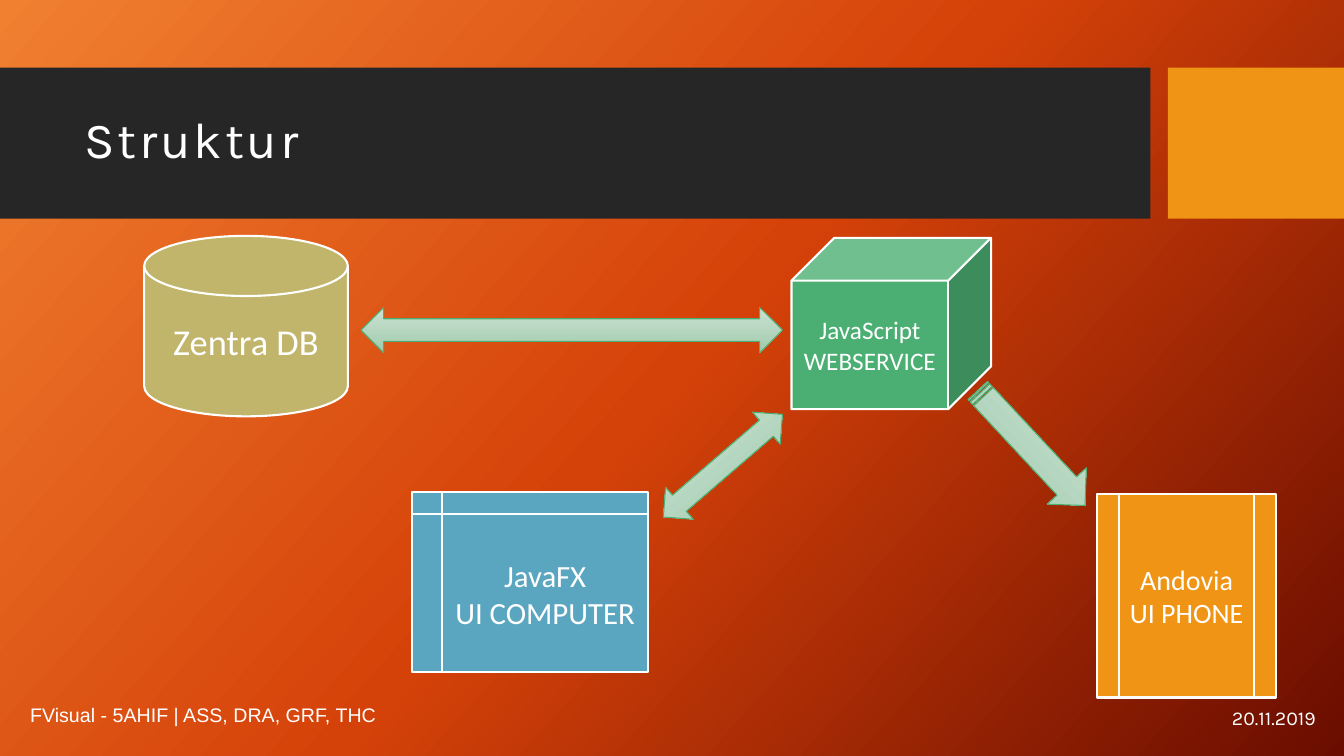
from copy import deepcopy
from dataclasses import dataclass

from pptx import Presentation
from pptx.dml.color import RGBColor
from pptx.enum.shapes import MSO_SHAPE
from pptx.enum.text import MSO_ANCHOR, PP_ALIGN
from pptx.oxml.ns import qn
from pptx.util import Inches, Pt

RECTANGLE = MSO_SHAPE.RECTANGLE
DISK = MSO_SHAPE.FLOWCHART_MAGNETIC_DISK
CUBE = MSO_SHAPE.CUBE
STORAGE = MSO_SHAPE.FLOWCHART_INTERNAL_STORAGE
PROCESS = MSO_SHAPE.FLOWCHART_PREDEFINED_PROCESS
TWO_WAY = MSO_SHAPE.LEFT_RIGHT_ARROW
ONE_WAY = MSO_SHAPE.STRIPED_RIGHT_ARROW
MIDDLE = MSO_ANCHOR.MIDDLE
LEFT, CENTER, RIGHT = PP_ALIGN.LEFT, PP_ALIGN.CENTER, PP_ALIGN.RIGHT
WIDTH, HEIGHT = 13.33, 7.5
TITLE_ONLY = 5


@dataclass(frozen=True)
class Theme:
    background: tuple = ((0, "F18031"), (0.5, "D54209"), (1, "6A0D00"))
    background_angle: int = 42
    arrow: tuple = ((0, "CBE2D2"), (1, "A0CBAD"))
    arrow_angle: int = 90
    white: str = "FFFFFF"
    band: str = "262626"
    orange: str = "F09415"
    sand: str = "C1B56B"
    green: str = "4BAF73"
    blue: str = "5AA6C0"
    heading_font: str = "Karla"
    node_font: str = "Calibri"
    footer_font: str = "Arial"
    title_size: int = 36
    footer_size: int = 14
    node_line: float = 1.5
    arrow_line: float = 0.75


THEME = Theme()


def color(value):
    return RGBColor.from_string(value)


def apply_format(target, values):
    for name, value in values.items():
        setattr(target, name, value)


def place(shape, box):
    names = ("left", "top", "width", "height")
    apply_format(shape, dict(zip(names, map(Inches, box))))


def set_gradient(fill, owner, stops, angle):
    fill.gradient()
    fill.gradient_angle = 360 - angle
    stop_list = owner.find(".//" + qn("a:gsLst"))
    for _ in stops[2:]:
        stop_list.append(deepcopy(stop_list[0]))
    for stop, (position, value) in zip(fill.gradient_stops, stops):
        stop.position = position
        stop.color.rgb = color(value)


def write(shape, lines, font, size, alignment):
    frame = shape.text_frame
    apply_format(frame, {"word_wrap": True, "vertical_anchor": MIDDLE})
    frame.text = "\n".join(lines)
    for paragraph in frame.paragraphs:
        paragraph.alignment = alignment
        for run in paragraph.runs:
            apply_format(run.font, {"name": font, "size": Pt(size)})
            run.font.color.rgb = color(THEME.white)


def add_filled(slide, kind, box, fill=None, line=None, line_width=0):
    shape = slide.shapes.add_shape(kind, *map(Inches, box))
    shape.shadow.inherit = False
    if fill:
        shape.fill.solid()
        shape.fill.fore_color.rgb = color(fill)
    if line:
        shape.line.color.rgb = color(line)
        shape.line.width = Pt(line_width)
    else:
        shape.line.fill.background()
    return shape


def add_node(slide, kind, box, fill, lines, size):
    shape = add_filled(slide, kind, box, fill, THEME.white, THEME.node_line)
    write(shape, lines, THEME.node_font, size, CENTER)


def add_arrow(slide, kind, box, rotation=0):
    shape = add_filled(slide, kind, box, line=THEME.green,
                       line_width=THEME.arrow_line)
    set_gradient(shape.fill, shape._element, THEME.arrow, THEME.arrow_angle)
    shape.rotation = rotation


def add_header(slide, box):
    left, top, width, height = box
    # Dark band and orange block
    band_width, block_width = width * 0.856, width * 0.131
    add_filled(slide, RECTANGLE, (left, top, band_width, height), THEME.band)
    add_filled(slide, RECTANGLE,
               (left + width - block_width, top, block_width, height),
               THEME.orange)
    # Title above the band
    title = slide.shapes.title
    slide.shapes._spTree.append(title._element)
    place(title, (left + 0.74, top + 0.15, width * 0.79, height - 0.32))
    write(title, ["Struktur"], THEME.heading_font, THEME.title_size, LEFT)
    paragraph = title.text_frame.paragraphs[0]
    paragraph.line_spacing = 0.9
    paragraph.runs[0].font._element.set("spc", "200")


def add_diagram(slide, box):
    left, top, _, _ = box

    def inside(x, y, width, height):
        return left + x, top + y, width, height

    # Systems
    nodes = (
        (DISK, (0, 0, 2.02, 1.79), THEME.sand, ["Zentra DB"], 26),
        (CUBE, (6.42, 0.02, 1.98, 1.7), THEME.green,
         ["JavaScript WEBSERVICE"], 18),
        (STORAGE, (2.66, 2.54, 2.34, 1.79), THEME.blue,
         ["JavaFX", "UI COMPUTER"], 22),
        (PROCESS, (9.45, 2.56, 1.78, 2.02), THEME.orange,
         ["Andovia", "UI PHONE"], 20),
    )
    for kind, area, fill, lines, size in nodes:
        add_node(slide, kind, inside(*area), fill, lines, size)

    # Data flows
    arrows = (
        (TWO_WAY, (2.15, 0.71, 4.18, 0.45), 0),
        (ONE_WAY, (8.02, 1.84, 1.56, 0.53), 47),
        (TWO_WAY, (4.96, 2.07, 1.56, 0.42), 319.2),
    )
    for kind, area, rotation in arrows:
        add_arrow(slide, kind, inside(*area), rotation)


def add_footer(slide, box):
    left, top, width, height = box
    date_width = 3
    entries = (
        ("20.11.2019", left + width - date_width, top + 0.03, date_width,
         THEME.heading_font, RIGHT),
        ("FVisual - 5AHIF | ASS, DRA, GRF, THC", left, top, 7.51,
         THEME.footer_font, LEFT),
    )
    for text, x, y, entry_width, font, alignment in entries:
        entry = slide.shapes.add_textbox(
            *map(Inches, (x, y, entry_width, height)))
        write(entry, [text], font, THEME.footer_size, alignment)


def main():
    presentation = Presentation()
    apply_format(presentation, {"slide_width": Inches(WIDTH),
                                "slide_height": Inches(HEIGHT)})
    slide = presentation.slides.add_slide(
        presentation.slide_layouts[TITLE_ONLY])
    set_gradient(slide.background.fill, slide._element,
                 THEME.background, THEME.background_angle)
    add_header(slide, (0, 0.67, WIDTH, HEIGHT * 0.2))
    add_diagram(slide, (1.43, 2.34, 11.23, 4.58))
    add_footer(slide, (0.2, 6.89, 12.95, 0.4))
    presentation.save("out.pptx")


if __name__ == "__main__":
    main()
